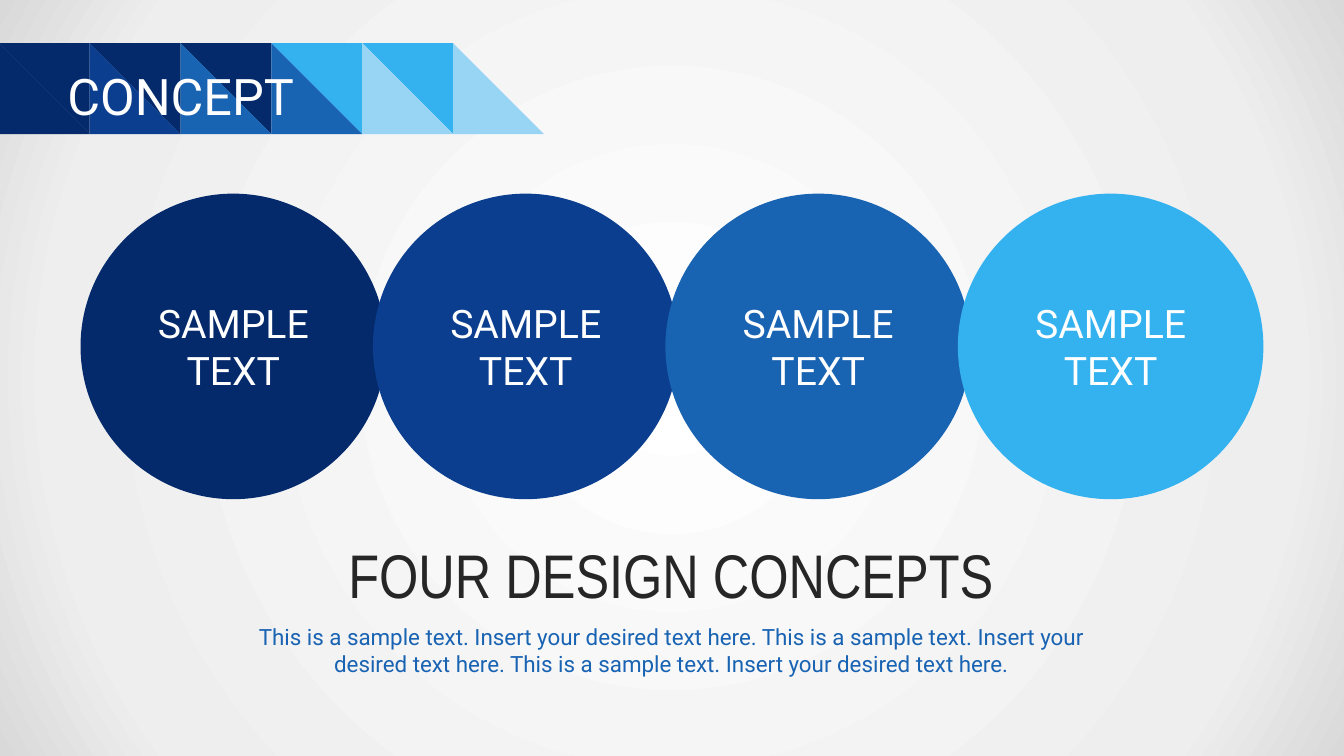
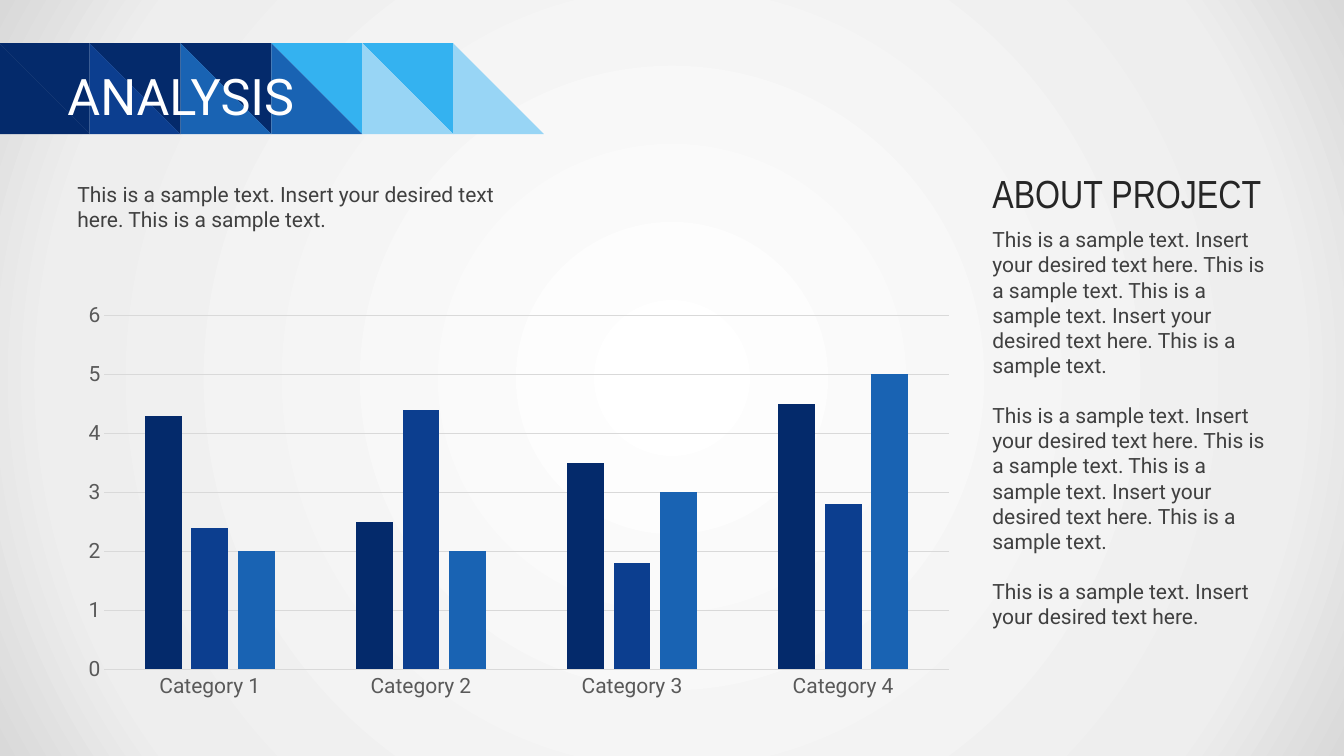
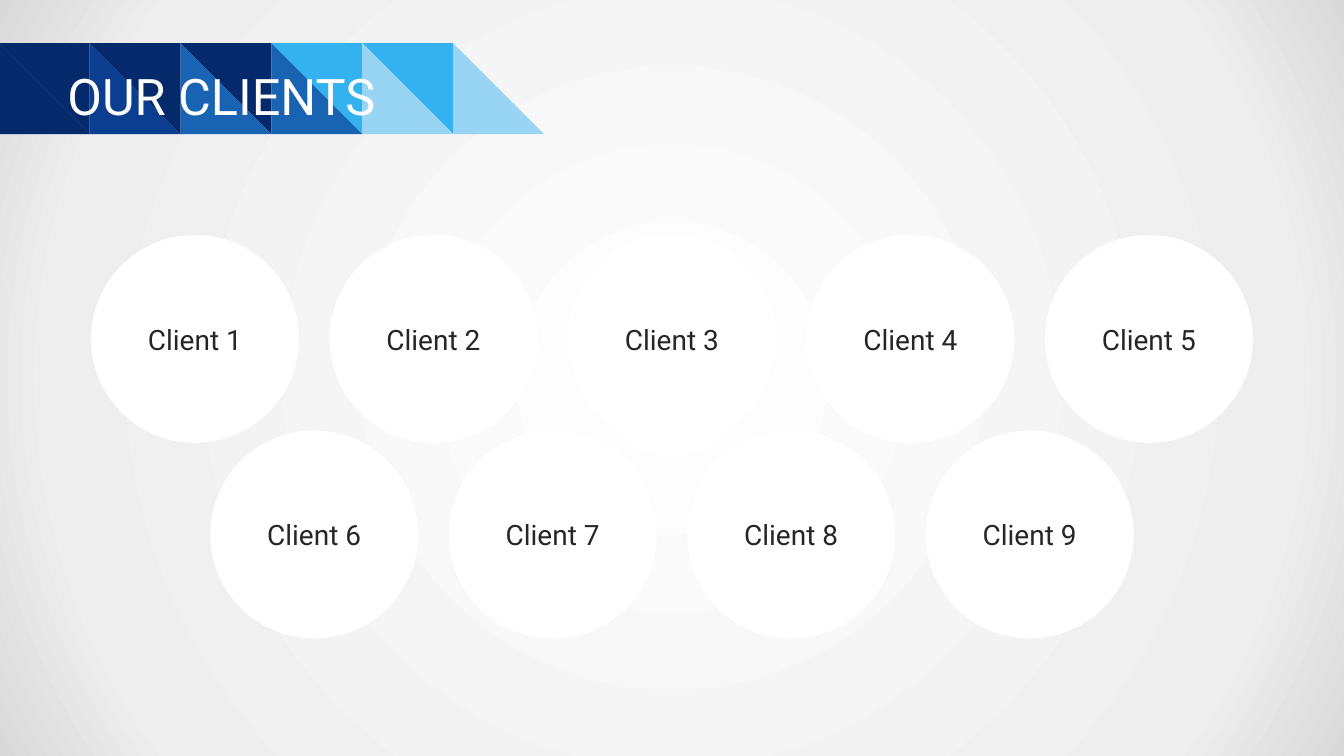
from dataclasses import dataclass
from typing import Any

import lxml.etree
import pptx
import pptx.chart.data
import pptx.dml.color
import pptx.enum.chart
import pptx.enum.shapes
import pptx.enum.text
import pptx.oxml
import pptx.oxml.ns
import pptx.util

Cm = pptx.util.Cm
Pt = pptx.util.Pt
RGBColor = pptx.dml.color.RGBColor
ALIGN = pptx.enum.text.PP_ALIGN
ANCHOR = pptx.enum.text.MSO_ANCHOR
FIT = pptx.enum.text.MSO_AUTO_SIZE

NAVY = RGBColor(0x04, 0x2A, 0x6B)
ROYAL = RGBColor(0x0C, 0x3E, 0x8F)
BLUE = RGBColor(0x19, 0x63, 0xB3)
SKY = RGBColor(0x34, 0xB2, 0xF0)
PALE = RGBColor(0x98, 0xD5, 0xF5)
WHITE = RGBColor(0xFF, 0xFF, 0xFF)
INK = RGBColor(0x26, 0x26, 0x26)
TEXT = RGBColor(0x40, 0x40, 0x40)
LABEL = RGBColor(0x59, 0x59, 0x59)
GRID = RGBColor(0xD9, 0xD9, 0xD9)
HAZE = RGBColor(0xEE, 0xEE, 0xEE)

WIDE, HIGH = Cm(33.87), Cm(19.05)
SANS, NARROW = "Roboto", "Arial Narrow"
GLOW = ((0, WHITE), (81, HAZE), (100, GRID))
BAND_LEFT, BAND_TOP, TILE = Cm(-0.03), Cm(1.09), Cm(2.29)
# Upper and lower triangle of each tile
TILES = ((NAVY, NAVY), (NAVY, ROYAL), (NAVY, BLUE), (SKY, BLUE), (SKY, PALE), (None, PALE))
FLAT = {f"margin_{side}": 0 for side in ("left", "top", "right", "bottom")}
SAMPLE = "This is a sample text."
INSERT = f"{SAMPLE} Insert your desired text here."


@dataclass(frozen=True)
class Look:
    size: float
    color: RGBColor
    name: str = SANS
    align: Any = ALIGN.LEFT


@dataclass(frozen=True)
class Block:
    left: float
    top: float
    width: float
    height: float
    look: Look
    lines: tuple[str, ...]


@dataclass(frozen=True)
class Disc:
    text: str
    fill: RGBColor


HEAD = Look(36, WHITE)
BODY = Look(15, TEXT)


def apply(item: Any, values: dict[str, Any]) -> None:
    for key, value in values.items():
        setattr(item, key, value)


def style(font: Any, look: Look) -> None:
    apply(font, {"size": Pt(look.size), "name": look.name})
    font.color.rgb = look.color


def write(frame: Any, lines: tuple[str, ...], look: Look, form: dict[str, Any]) -> None:
    apply(frame, {"word_wrap": True} | form)
    for i, line in enumerate(lines):
        para = frame.add_paragraph() if i else frame.paragraphs[0]
        para.alignment = look.align
        if i:
            para.space_before = Pt(17.6)
        run = para.add_run()
        run.text = line
        style(run.font, look)


def paint(shape: Any, color: RGBColor) -> None:
    shape.shadow.inherit = False
    shape.fill.solid()
    shape.fill.fore_color.rgb = color
    shape.line.fill.background()


def add_text(slide: Any, block: Block, form: dict[str, Any]) -> None:
    place = (Cm(v) for v in (block.left, block.top, block.width, block.height))
    box = slide.shapes.add_textbox(*place)
    write(box.text_frame, block.lines, block.look, form)


def add_row(slide: Any, discs: list[Disc], top: float, size: float,
            pitch: float, look: Look, form: dict[str, Any]) -> None:
    """Draw discs in a row centred on the slide."""
    left = (WIDE - Cm(pitch) * (len(discs) - 1) - Cm(size)) // 2
    for i, disc in enumerate(discs):
        shape = slide.shapes.add_shape(
            pptx.enum.shapes.MSO_SHAPE.OVAL,
            left + i * Cm(pitch), Cm(top), Cm(size), Cm(size))
        paint(shape, disc.fill)
        write(shape.text_frame, (disc.text,), look, {"vertical_anchor": ANCHOR.MIDDLE} | form)


def add_band(slide: Any) -> None:
    base = BAND_TOP + TILE
    for i, (upper, lower) in enumerate(TILES):
        left = BAND_LEFT + i * TILE
        right = left + TILE
        for color, corner in ((upper, (right, BAND_TOP)), (lower, (left, base))):
            if color is not None:
                path = slide.shapes.build_freeform(left, BAND_TOP)
                path.add_line_segments([(right, base), corner], close=True)
                paint(path.convert_to_shape(), color)


def add_slide(deck: Any, title: str) -> Any:
    slide = deck.slides.add_slide(deck.slide_layouts[6])
    add_band(slide)
    add_text(slide, Block(1.7, 1.42, 30.48, 1.98, HEAD, (title,)),
             {"vertical_anchor": ANCHOR.MIDDLE, "margin_left": 0, "margin_right": 0,
              "margin_top": Cm(0.18), "margin_bottom": Cm(0.18)})
    return slide


def set_back(deck: Any) -> None:
    """Give the master a round gradient from the centre outwards."""
    master = deck.slide_master
    master.background.fill.gradient()
    old = master.element.find(".//" + pptx.oxml.ns.qn("p:bgPr")).find(
        pptx.oxml.ns.qn("a:gradFill"))
    stops = "".join(
        f'<a:gs pos="{pos * 1000}"><a:srgbClr val="{color}"/></a:gs>' for pos, color in GLOW)
    new = pptx.oxml.parse_xml(
        f'<a:gradFill {pptx.oxml.ns.nsdecls("a")} rotWithShape="1">'
        f'<a:gsLst>{stops}</a:gsLst><a:path path="circle">'
        '<a:fillToRect l="50000" t="50000" r="50000" b="50000"/></a:path></a:gradFill>')
    old.getparent().replace(old, new)


def add_bars(slide: Any) -> None:
    data = pptx.chart.data.CategoryChartData()
    data.categories = [f"Category {n}" for n in range(1, 5)]
    rows = ((4.3, 2.5, 3.5, 4.5), (2.4, 4.4, 1.8, 2.8), (2, 2, 3, 5))
    for n, row in enumerate(rows, 1):
        data.add_series(f"Series {n}", row)
    chart = slide.shapes.add_chart(
        pptx.enum.chart.XL_CHART_TYPE.COLUMN_CLUSTERED,
        Cm(1.78), Cm(7.42), Cm(22.58), Cm(10.39), data).chart
    apply(chart, {"has_title": False, "has_legend": False})
    style(chart.font, Look(15, LABEL))
    plot = chart.plots[0]
    apply(plot, {"gap_width": 219, "overlap": -27, "vary_by_categories": False})
    for series, color in zip(plot.series, (NAVY, ROYAL, BLUE)):
        series.format.fill.solid()
        series.format.fill.fore_color.rgb = color
    none = pptx.enum.chart.XL_TICK_MARK.NONE
    cat, val = chart.category_axis, chart.value_axis
    for axis in (cat, val):
        apply(axis, {"major_tick_mark": none, "minor_tick_mark": none})
        style(axis.tick_labels.font, Look(15, LABEL))
    apply(val, {"minimum_scale": 0, "maximum_scale": 6, "major_unit": 1,
                "has_major_gridlines": True})
    val.format.line.fill.background()
    for line in (cat.format.line, val.major_gridlines.format.line):
        line.width = Pt(0.75)
        line.color.rgb = GRID


def main() -> None:
    deck = pptx.Presentation()
    apply(deck, {"slide_width": WIDE, "slide_height": HIGH})
    set_back(deck)
    grow = {"auto_size": FIT.SHAPE_TO_FIT_TEXT}

    slide = add_slide(deck, "CONCEPT")
    discs = [Disc("SAMPLE TEXT", color) for color in (NAVY, ROYAL, BLUE, SKY)]
    add_row(slide, discs, 4.88, 7.7, 7.37, Look(28, WHITE, align=ALIGN.CENTER), {})
    for block in (
        Block(5.49, 15.57, 22.86, 1.63, Look(16, BLUE, align=ALIGN.CENTER),
              (" ".join([INSERT] * 3),)),
        Block(5.49, 13.41, 22.86, 2.13, Look(44, INK, NARROW, ALIGN.CENTER),
              ("FOUR DESIGN CONCEPTS",)),
    ):
        add_text(slide, block, grow)

    slide = add_slide(deck, "ANALYSIS")
    add_bars(slide)
    long = f"{INSERT} {SAMPLE} {INSERT} {SAMPLE}"
    for block in (
        Block(1.7, 4.44, 12.07, 1.55, BODY, (f"{INSERT} {SAMPLE}",)),
        Block(24.76, 5.59, 7.37, 11.79, BODY, (long, long, INSERT)),
        Block(24.76, 4.14, 7.37, 1.45, Look(28, INK, NARROW), ("ABOUT PROJECT",)),
    ):
        add_text(slide, block, grow)

    slide = add_slide(deck, "OUR CLIENTS")
    discs = [Disc(f"Client {n}", WHITE) for n in range(1, 10)]
    for top, row in ((5.92, discs[:5]), (10.85, discs[5:])):
        add_row(slide, row, top, 5.24, 6.01, Look(20, INK, align=ALIGN.CENTER), FLAT)

    deck.save("out.pptx")


if __name__ == "__main__":
    main()
